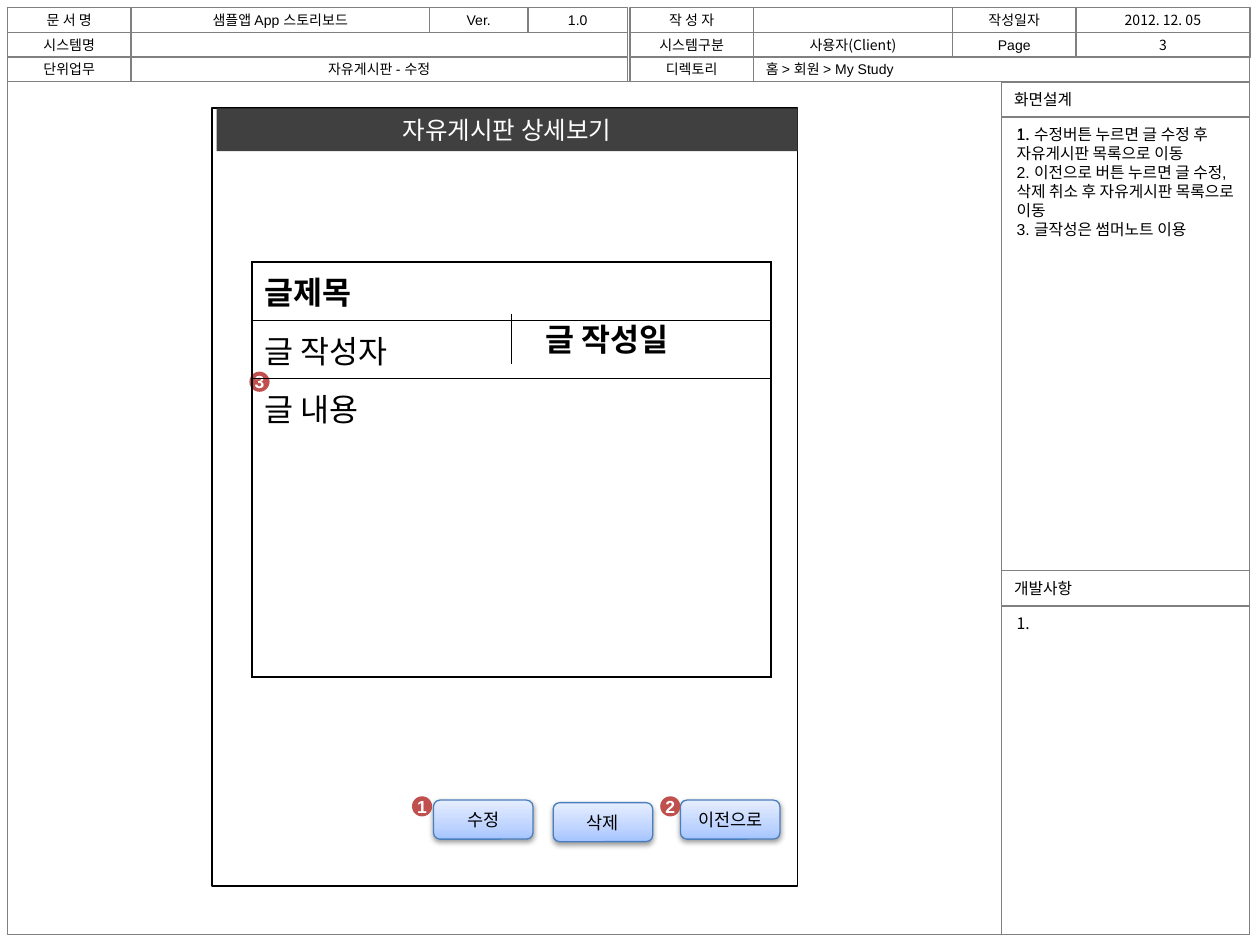
import copy

import pptx
import pptx.dml.color
import pptx.enum.shapes
import pptx.enum.text
import pptx.oxml
import pptx.oxml.ns
import pptx.util

Inches, Pt = pptx.util.Inches, pptx.util.Pt
SHAPE = pptx.enum.shapes.MSO_SHAPE
ALIGN = pptx.enum.text.PP_ALIGN
ANCHOR = pptx.enum.text.MSO_ANCHOR
qn = pptx.oxml.ns.qn

THEME = dict(
    latin="Arial", korean="Noto Sans CJK KR",
    black="000000", white="FFFFFF", grid="808080", bar="404040",
    badge="C0504D", button_line="4B7EBC",
    button_stops=((0, "A4C4FF"), (0.35, "BFD4FF"), (1, "E6EEFF")),
    small=8, note=9, label=10, title=14, field=18,
)
LATIN, KOREAN = THEME["latin"], THEME["korean"]

# Header cells by row: left, right, text, font
ROW_TOPS, ROW_H = (0.06, 0.26, 0.45), 0.2
HEADER = [
    [(0.06, 1.04, "문 서 명", LATIN), (1.04, 3.41, "샘플앱 App 스토리보드", LATIN),
     (3.41, 4.19, "Ver.", LATIN), (4.19, 4.98, "1.0", LATIN),
     (5, 5.98, "작 성 자", LATIN), (5.98, 7.56, "", LATIN),
     (7.56, 8.54, "작성일자", LATIN), (8.54, 9.92, "2012. 12. 05", KOREAN)],
    [(0.06, 1.04, "시스템명", LATIN), (1.04, 4.98, "", LATIN),
     (5, 5.98, "시스템구분", LATIN), (5.98, 7.56, "사용자(Client)", KOREAN),
     (7.56, 8.54, "Page", LATIN), (8.54, 9.92, "3", KOREAN)],
    [(0.06, 1.04, "단위업무", LATIN), (1.04, 4.98, "자유게시판 - 수정", LATIN),
     (5, 5.98, "디렉토리", LATIN), (5.98, 9.92, "홈 > 회원 > My Study", LATIN)],
]
LEFT_ALIGNED = {"홈 > 회원 > My Study"}

# Side panels: top, bottom, heading
SIDE_X, SIDE_W, HEADING_H = 7.95, 1.97, 0.28
PANELS = [(0.65, 4.53, "화면설계"), (4.53, 7.42, "개발사항")]
NOTES = [
    "1. 수정버튼 누르면 글 수정 후 자유게시판 목록으로 이동",
    "2. 이전으로 버튼 누르면 글 수정, 삭제 취소 후 자유게시판 목록으로 이동",
    "3. 글작성은 썸머노트 이용",
]

SCREEN_TITLE = "자유게시판 상세보기"
FIELDS = [("글제목", 0.41, True), ("글 작성자", 0.4, False), ("글 내용", 2.37, False)]
FORM_X, FORM_Y, FORM_W = 2, 2.08, 4.12
BUTTONS = [("수정", 3.44, 6.35), ("삭제", 4.39, 6.37), ("이전으로", 5.4, 6.35)]
BADGE = 0.16
BADGES = [("1", 3.27, 6.32), ("2", 5.24, 6.32), ("3", 1.98, 2.95)]


def rgb(name):
    return pptx.dml.color.RGBColor.from_string(THEME.get(name, name))


def write(tf, lines, size, font=LATIN, color="black", bold=False, align=ALIGN.LEFT, **frame):
    """Fill a text frame, one paragraph a line; frame holds its own attributes."""
    for name, value in {"word_wrap": True, **frame}.items():
        setattr(tf, name, value)
    for i, line in enumerate(lines):
        p = tf.add_paragraph() if i else tf.paragraphs[0]
        p.alignment = align
        r = p.add_run()
        r.text = line
        for name, value in dict(name=font, size=Pt(THEME[size]), bold=bold).items():
            setattr(r.font, name, value)
        r.font.color.rgb = rgb(color)
        ea = pptx.oxml.parse_xml(f'<a:ea {pptx.oxml.ns.nsdecls("a")} typeface="{KOREAN}"/>')
        r.font._element.find(qn("a:latin")).addnext(ea)


def add_box(s, x, y, w, h, fill=None, line=None, width=0.75, kind=SHAPE.RECTANGLE):
    sp = s.shapes.add_shape(kind, *map(Inches, (x, y, w, h)))
    sp.shadow.inherit = False
    if fill:
        sp.fill.solid()
        sp.fill.fore_color.rgb = rgb(fill)
    else:
        sp.fill.background()
    if line:
        sp.line.color.rgb = rgb(line)
        sp.line.width = Pt(width)
    else:
        sp.line.fill.background()
    return sp


def add_text(s, x, y, w, h, lines, size, **style):
    tb = s.shapes.add_textbox(*map(Inches, (x, y, w, h)))
    write(tb.text_frame, lines, size, **style)


def add_header(s):
    for top, cells in zip(ROW_TOPS, HEADER):
        for left, right, text, font in cells:
            sp = add_box(s, left, top, right - left, ROW_H, line="grid")
            if text:
                align = ALIGN.LEFT if text in LEFT_ALIGNED else ALIGN.CENTER
                write(sp.text_frame, [text], "small", font, align=align, margin_top=0,
                      margin_bottom=0, vertical_anchor=ANCHOR.MIDDLE)


def add_panels(s):
    add_box(s, 0.06, 0.65, 7.89, 6.77, line="grid")
    for top, bottom, heading in PANELS:
        body = top + HEADING_H
        sp = add_box(s, SIDE_X, top, SIDE_W, HEADING_H, line="grid")
        write(sp.text_frame, [heading], "note", vertical_anchor=ANCHOR.MIDDLE)
        add_box(s, SIDE_X, body, SIDE_W, bottom - body, line="grid")
        add_text(s, 7.97, body + 0.01, 2.03, 0.25, ["1."], "note", font=KOREAN)
    add_text(s, 7.97, 0.94, 2.03, 1.01, NOTES, "note")


def add_screen(s):
    add_box(s, 1.68, 0.86, 4.65, 6.17, "white", "black", 1)
    title = s.shapes.title
    s.shapes._spTree.append(title._element)  # in front of the screen frame
    for name, value in dict(left=1.72, top=0.86, width=4.61, height=0.34).items():
        setattr(title, name, Inches(value))
    title.fill.solid()
    title.fill.fore_color.rgb = rgb("bar")
    write(title.text_frame, [SCREEN_TITLE], "title", color="white", align=ALIGN.CENTER,
          vertical_anchor=ANCHOR.MIDDLE, auto_size=pptx.enum.text.MSO_AUTO_SIZE.NONE)


def set_borders(cell):
    tc_pr = cell._tc.get_or_add_tcPr()
    for i, side in enumerate("LRTB"):
        tc_pr.insert(i, pptx.oxml.parse_xml(
            f'<a:ln{side} {pptx.oxml.ns.nsdecls("a")} w="{Pt(1)}"><a:solidFill>'
            f'<a:srgbClr val="{THEME["black"]}"/></a:solidFill></a:ln{side}>'))


def add_form(s):
    heights = [h for _, h, _ in FIELDS]
    table = s.shapes.add_table(len(FIELDS), 1, *map(Inches, (FORM_X, FORM_Y, FORM_W, sum(heights)))).table
    table.first_row = table.horz_banding = False
    for i, (text, height, bold) in enumerate(FIELDS):
        table.rows[i].height = Inches(height)
        cell = table.cell(i, 0)
        cell.fill.background()
        set_borders(cell)
        write(cell.text_frame, [text], "field", KOREAN, bold=bold)

    middle, top = FORM_X + FORM_W / 2, FORM_Y + heights[0]
    divider = s.shapes.add_connector(
        pptx.enum.shapes.MSO_CONNECTOR.STRAIGHT,
        *map(Inches, (middle, top, middle, top + heights[1])))
    divider.line.color.rgb = rgb("black")
    divider.line.width = Pt(0.75)
    divider._element.spPr.append(pptx.oxml.parse_xml(f'<a:effectLst {pptx.oxml.ns.nsdecls("a")}/>'))
    add_text(s, 4.23, top, 1.5, 0.4, ["글 작성일"], "field", font=KOREAN, bold=True)


def add_button(s, text, x, y):
    sp = add_box(s, x, y, 0.79, 0.31, line="button_line", kind=SHAPE.ROUNDED_RECTANGLE)
    sp.fill.gradient()
    sp.fill.gradient_angle = 90
    sp_pr = sp._element.spPr
    stops = sp_pr.find(qn("a:gradFill")).find(qn("a:gsLst"))
    stops.insert(1, copy.deepcopy(stops[0]))
    for stop, (position, color) in zip(sp.fill.gradient_stops, THEME["button_stops"]):
        stop.position = position
        stop.color.rgb = rgb(color)
    sp_pr.find(qn("a:effectLst")).append(pptx.oxml.parse_xml(
        f'<a:outerShdw {pptx.oxml.ns.nsdecls("a")} blurRad="{Pt(3.1)}" dist="{Pt(1.6)}" '
        f'dir="5400000" rotWithShape="0"><a:srgbClr val="{THEME["black"]}">'
        '<a:alpha val="38000"/></a:srgbClr></a:outerShdw>'))
    write(sp.text_frame, [text], "label", KOREAN, align=ALIGN.CENTER,
          vertical_anchor=ANCHOR.MIDDLE)


def add_badge(s, number, x, y):
    sp = add_box(s, x, y, BADGE, BADGE, "badge", kind=SHAPE.OVAL)
    write(sp.text_frame, [number], "label", color="white", bold=True, align=ALIGN.CENTER,
          vertical_anchor=ANCHOR.MIDDLE, word_wrap=False, margin_left=0, margin_right=0,
          margin_top=0, margin_bottom=0)


def main():
    prs = pptx.Presentation()
    prs.slide_width, prs.slide_height = Inches(10), Inches(7.5)
    s = prs.slides.add_slide(prs.slide_layouts[5])
    add_header(s)
    add_panels(s)
    add_screen(s)
    for button in BUTTONS:
        add_button(s, *button)
    for badge in BADGES:
        add_badge(s, *badge)
    add_form(s)
    prs.save("out.pptx")


if __name__ == "__main__":
    main()
